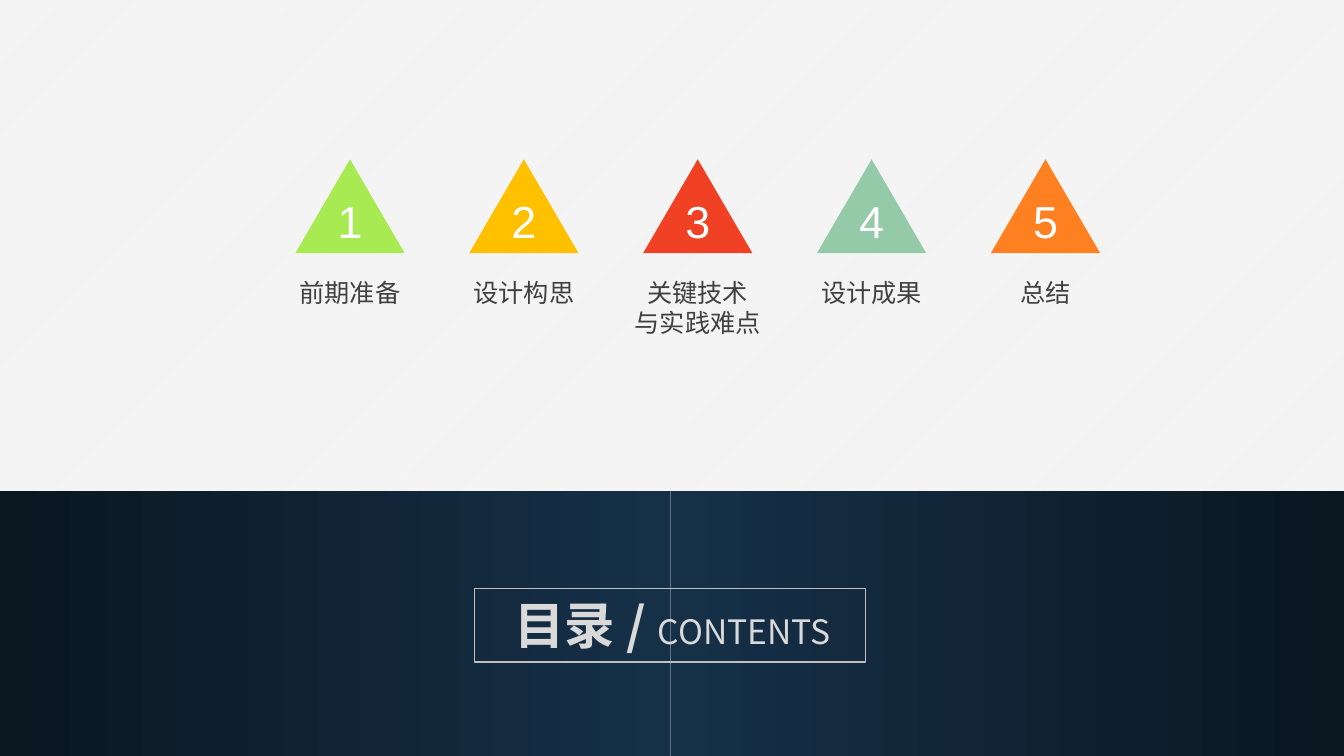
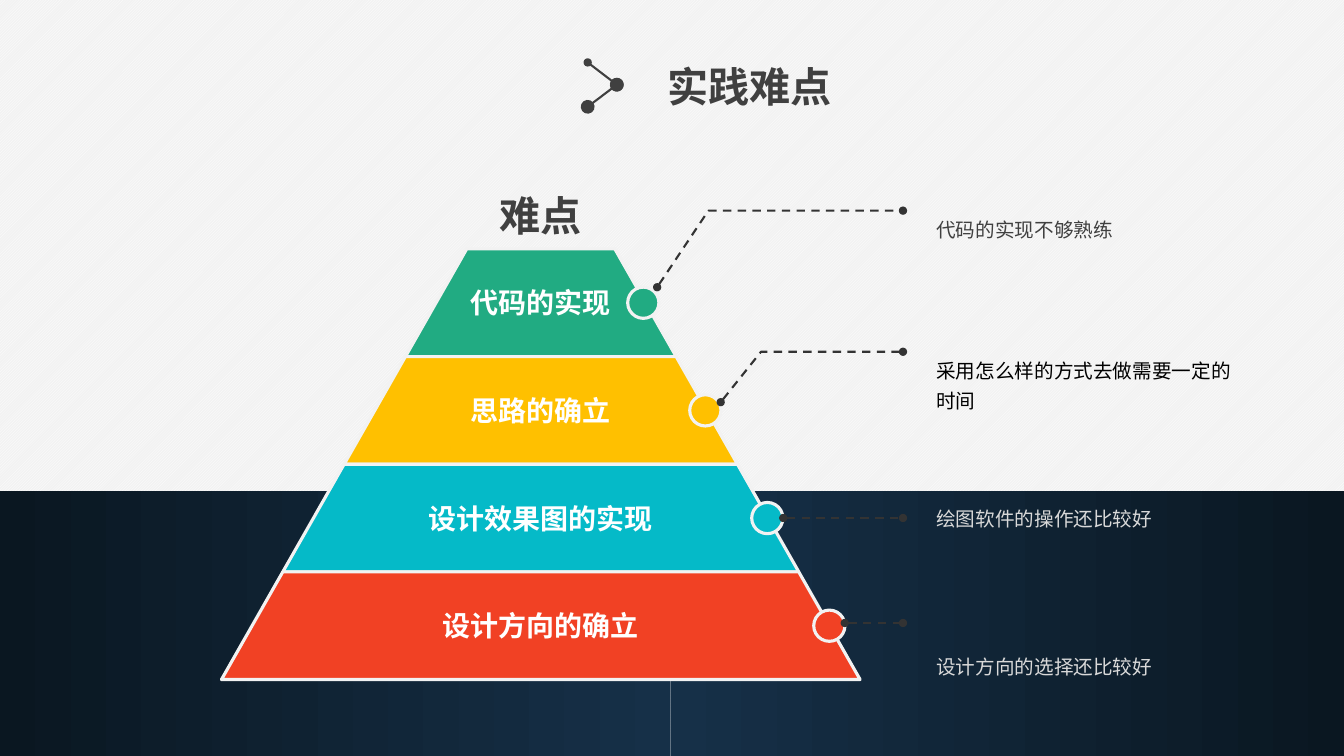
from lxml.etree import SubElement
from pptx import Presentation
from pptx.dml.color import RGBColor
from pptx.enum.dml import MSO_LINE, MSO_PATTERN
from pptx.enum.shapes import MSO_CONNECTOR, MSO_SHAPE
from pptx.enum.text import MSO_ANCHOR, MSO_AUTO_SIZE, PP_ALIGN
from pptx.oxml.ns import qn
from pptx.util import Pt

WIDTH, HEIGHT = 960, 540
BAND_TOP, BAND_SPLIT = 351, 478.8
CJK, LATIN = "Noto Sans CJK SC", "Arial"
HEADING_SIZE = 29.4

WHITE = RGBColor(0xFF, 0xFF, 0xFF)
PAPER = RGBColor(0xF2, 0xF2, 0xF2)
NAVY = RGBColor(0x16, 0x30, 0x48)
NIGHT = RGBColor(0x0A, 0x17, 0x21)
BLACK = RGBColor(0x00, 0x00, 0x00)
LEADER = RGBColor(0x33, 0x33, 0x33)
DARK = RGBColor(0x40, 0x40, 0x40)
FRAME = RGBColor(0xBF, 0xBF, 0xBF)
LIGHT = RGBColor(0xD9, 0xD9, 0xD9)
LIME = RGBColor(0xA7, 0xEA, 0x52)
AMBER = RGBColor(0xFF, 0xC0, 0x00)
RED = RGBColor(0xF1, 0x41, 0x24)
SAGE = RGBColor(0x94, 0xCA, 0xA8)
ORANGE = RGBColor(0xFF, 0x80, 0x21)
GREEN = RGBColor(0x21, 0xAB, 0x82)
CYAN = RGBColor(0x05, 0xBA, 0xC8)


class Deck:
    """Shared style and the slide being drawn; lengths are in points."""

    def __init__(self):
        self.prs = Presentation()
        self.prs.slide_width, self.prs.slide_height = Pt(WIDTH), Pt(HEIGHT)
        self.slide = None

    def new_slide(self):
        self.slide = self.prs.slides.add_slide(self.prs.slide_layouts[5])

    def master_background(self):
        """Put the hatched paper and the two gradient bands on the master."""
        master = self.prs.slide_master
        fill = master.background.fill
        fill.patterned()
        fill.pattern = MSO_PATTERN.LIGHT_UPWARD_DIAGONAL
        fill.fore_color.rgb, fill.back_color.rgb = WHITE, PAPER
        bands = ((0, BAND_SPLIT, (NIGHT, NAVY)),
                 (BAND_SPLIT, WIDTH, (NAVY, NIGHT)))
        for i, (left, right, colors) in enumerate(bands):
            sp = self.shape(MSO_SHAPE.RECTANGLE, left, BAND_TOP,
                            right - left, HEIGHT - BAND_TOP)
            sp.fill.gradient()
            sp.fill.gradient_angle = 0
            for stop, color in zip(sp.fill.gradient_stops, colors):
                stop.color.rgb = color
            sp._element.nvSpPr.cNvPr.set("id", str(100 + i))
            master.shapes._spTree.insert(2 + i, sp._element)

    def run(self, p, text, size, color, bold=False, font=CJK):
        r = p.add_run()
        r.text = text
        r.font.size, r.font.bold, r.font.name = Pt(size), bold, font
        r.font.color.rgb = color
        SubElement(r._r.get_or_add_rPr(), qn("a:ea")).set("typeface", CJK)

    def title(self, x, y, w, h, runs, align=PP_ALIGN.LEFT):
        sp = self.slide.shapes.title
        sp.left, sp.top, sp.width, sp.height = Pt(x), Pt(y), Pt(w), Pt(h)
        tf = sp.text_frame
        tf.auto_size, tf.word_wrap = MSO_AUTO_SIZE.NONE, True
        tf.vertical_anchor = MSO_ANCHOR.MIDDLE
        p = tf.paragraphs[0]
        p.alignment = align
        for args in runs:
            self.run(p, *args)

    def text(self, x, y, w, h, lines, size, color, align=PP_ALIGN.CENTER,
             spacing=None, **style):
        sp = self.slide.shapes.add_textbox(Pt(x), Pt(y), Pt(w), Pt(h))
        tf = sp.text_frame
        tf.word_wrap = True
        for i, line in enumerate(lines):
            p = tf.add_paragraph() if i else tf.paragraphs[0]
            p.alignment = align
            if spacing:
                p.line_spacing = spacing
            self.run(p, line, size, color, **style)
        return sp

    def paint(self, sp, fill=None, line=None, width=1):
        sp.shadow.inherit = False
        if fill is None:
            sp.fill.background()
        else:
            sp.fill.solid()
            sp.fill.fore_color.rgb = fill
        if line is None:
            sp.line.fill.background()
        else:
            sp.line.color.rgb, sp.line.width = line, Pt(width)
        return sp

    def shape(self, kind, x, y, w, h, fill=None, line=None, width=1):
        sp = self.slide.shapes.add_shape(kind, Pt(x), Pt(y), Pt(w), Pt(h))
        return self.paint(sp, fill, line, width)

    def outline(self, points, close):
        points = [(Pt(x), Pt(y)) for x, y in points]
        builder = self.slide.shapes.build_freeform(*points[0])
        builder.add_line_segments(points[1:], close=close)
        return builder.convert_to_shape()

    def pyramid_band(self, points, text, fill):
        sp = self.paint(self.outline(points, True), fill, PAPER, 2.25)
        tf = sp.text_frame
        tf.vertical_anchor = MSO_ANCHOR.MIDDLE
        p = tf.paragraphs[0]
        p.alignment = PP_ALIGN.CENTER
        self.run(p, text, 20, WHITE, bold=True)

    def dotted_line(self, points, color, dash=None, dots=("med", "med")):
        """Line with round ends: a connector, or an open outline if bent."""
        if len(points) == 2:
            ends = [Pt(v) for point in points for v in point]
            sp = self.slide.shapes.add_connector(MSO_CONNECTOR.STRAIGHT, *ends)
            sp.line.color.rgb, sp.line.width = color, Pt(1.5)
            SubElement(sp._element.spPr, qn("a:effectLst"))
        else:
            sp = self.paint(self.outline(points, False), None, color, 1.5)
        if dash:
            sp.line.dash_style = dash
        ln = sp._element.spPr.find(qn("a:ln"))
        for tag, dot in zip(("a:headEnd", "a:tailEnd"), dots):
            end = SubElement(ln, qn(tag))
            for key, value in (("type", "oval"), ("w", dot), ("len", dot)):
                end.set(key, value)
        return sp

    def group(self, *shapes):
        self.slide.shapes.add_group_shape(shapes)


def contents_slide(deck):
    deck.title(350, 420.5, 260.6, 51,
               [("目录 / ", 36, LIGHT, True), ("CONTENTS", 24, LIGHT)],
               PP_ALIGN.CENTER)
    deck.shape(MSO_SHAPE.RECTANGLE, 339, 420.5, 279.5, 52.5, line=FRAME)
    first, step, side = 250, 124.2, 78
    chapters = ((LIME, ["前期准备"]), (AMBER, ["设计构思"]),
                (RED, ["关键技术", "与实践难点"]), (SAGE, ["设计成果"]),
                (ORANGE, ["总结"]))
    for i, (color, lines) in enumerate(chapters):
        center = first + i * step
        triangle = deck.shape(MSO_SHAPE.ISOSCELES_TRIANGLE, center - side / 2,
                              113.8, side, 67, color)
        number = deck.text(center - 20, 134.6, 40, 46, [str(i + 1)], 32,
                           WHITE, font=LATIN)
        deck.group(triangle, number)
        deck.text(center - step / 2, 194.4, step, 29, lines, 18, DARK)


def difficulties_slide(deck):
    deck.title(469.4, 40.3, 140, 42.5,
               [("实践难点", HEADING_SIZE, DARK, True, LATIN)])
    tip = (440.6, 60.5)
    deck.group(
        deck.dotted_line([(419.8, 44.6), tip], DARK, dots=("med", "lg")),
        deck.dotted_line([tip, (419.8, 76.3)], DARK, dots=("lg", "lg")))

    axis, top, band_h, half_top, slope = 386.3, 177.8, 76.9, 52.9, 43.8
    knob, leader_end = 22.3, 645
    deck.text(axis - 50, 132.5, 100, 42.5, ["难点"], HEADING_SIZE, DARK,
              bold=True, font=LATIN)
    # band label, band colour, leader start and bend, note top, note, note colour
    rows = (
        ("代码的实现", GREEN, [(469.4, 205.2), (506, 150.5)],
         147, "代码的实现不够熟练", DARK),
        ("思路的确立", AMBER, [(514.8, 287.3), (543.6, 251.3)],
         247.7, "采用怎么样的方式去做需要一定的时间", BLACK),
        ("设计效果图的实现", CYAN, [(559.5, 370)],
         353.5, "绘图软件的操作还比较好", LIGHT),
        ("设计方向的确立", RED, [(603.4, 445)],
         459.4, "设计方向的选择还比较好", LIGHT),
    )
    for i, (label, color, leader, note_top, note, note_color) in enumerate(rows):
        y, half = top + i * band_h, half_top + i * slope
        base = half + slope
        deck.pyramid_band([(axis - half, y), (axis - base, y + band_h),
                           (axis + base, y + band_h), (axis + half, y)],
                          label, color)
        deck.shape(MSO_SHAPE.OVAL, 459.5 + i * 44.3 - knob / 2,
                   y + (band_h - knob) / 2, knob, knob, color, PAPER, 2.25)
        deck.dotted_line(leader + [(leader_end, leader[-1][1])], LEADER,
                         MSO_LINE.DASH)
        deck.text(661.7, note_top, 234.7, 29, [note], 14, note_color,
                  PP_ALIGN.LEFT, 1.3)


def main():
    deck = Deck()
    deck.new_slide()
    deck.master_background()
    contents_slide(deck)
    deck.new_slide()
    difficulties_slide(deck)
    deck.prs.save("out.pptx")


if __name__ == "__main__":
    main()
